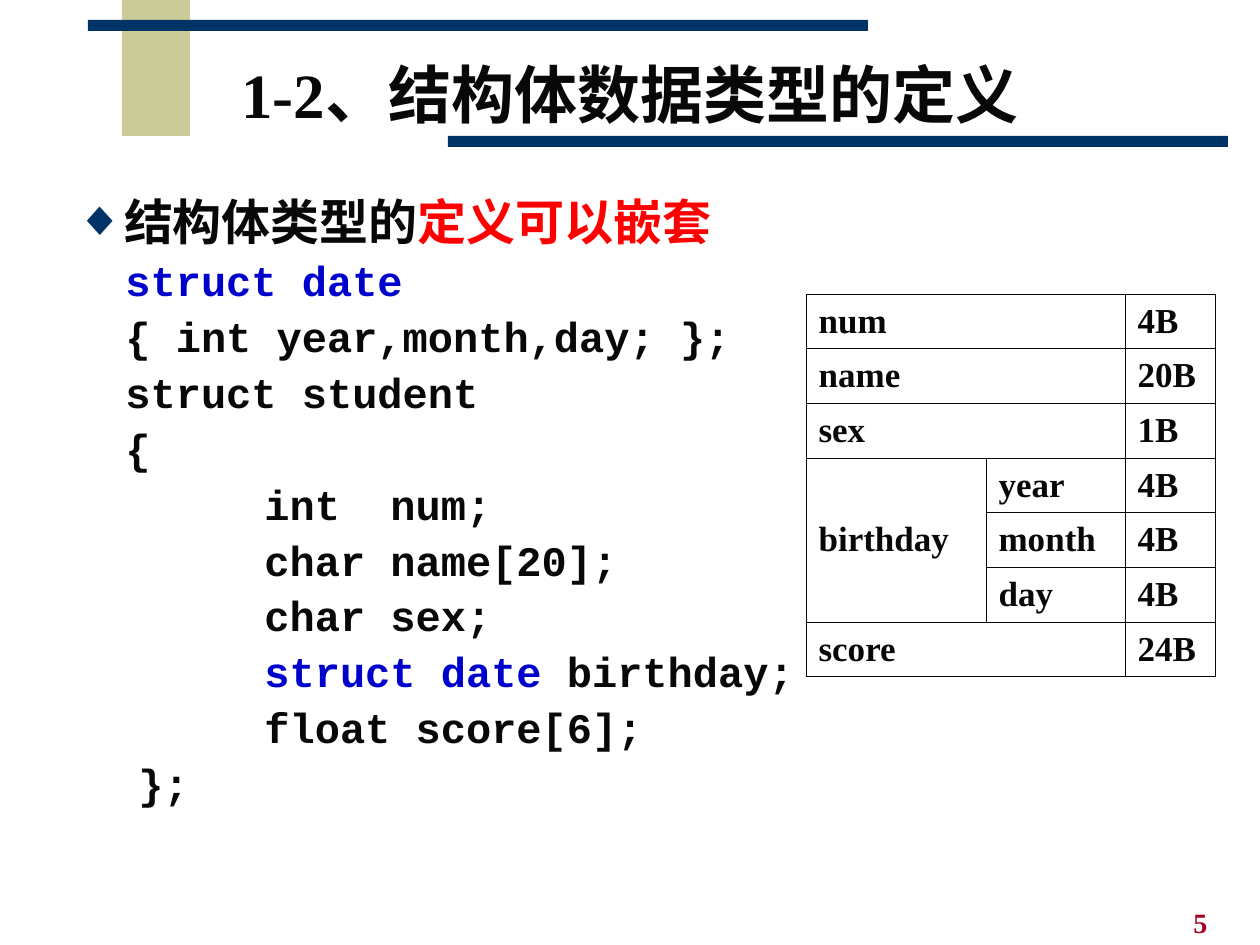
from lxml.etree import SubElement
from pptx import Presentation
from pptx.dml.color import RGBColor
from pptx.enum.shapes import MSO_SHAPE
from pptx.enum.text import MSO_ANCHOR, PP_ALIGN
from pptx.oxml import parse_xml
from pptx.oxml.ns import nsdecls, qn
from pptx.util import Pt

SCALE = 914400 / 126  # EMU per px
COLORS = {
    "ink": "080808",
    "navy": "003366",
    "khaki": "CCCC99",
    "red": "FF0000",
    "blue": "0000CC",
    "crimson": "A50021",
    "white": "FFFFFF",
}
SERIF = "Times New Roman"
MONO = "Courier New"

# Each line of code: left indent in px, then (text, color) spans
CODE = [
    (50, [("struct date", "blue")]),
    (50, [("{ int year,month,day; };", "ink")]),
    (50, [("struct student", "ink")]),
    (50, [("{", "ink")]),
    (189, [("int  num;", "ink")]),
    (189, [("char name[20];", "ink")]),
    (189, [("char sex;", "ink")]),
    (189, [("struct date", "blue"), (" birthday;", "ink")]),
    (189, [("float score[6];", "ink")]),
    (63, [("};", "ink")]),
]

# Member, nested member, size
MEMBERS = [
    ("num", "", "4B"),
    ("name", "", "20B"),
    ("sex", "", "1B"),
    ("birthday", "year", "4B"),
    ("", "month", "4B"),
    ("", "day", "4B"),
    ("score", "", "24B"),
]
BIRTHDAY_ROWS = (3, 5)


def px(length):
    return round(length * SCALE)


def color(name):
    return RGBColor.from_string(COLORS[name])


def add_bar(slide, left, top, width, height, fill):
    bar = slide.shapes.add_shape(
        MSO_SHAPE.RECTANGLE, px(left), px(top), px(width), px(height))
    bar.shadow.inherit = False
    bar.fill.solid()
    bar.fill.fore_color.rgb = color(fill)
    bar.line.fill.background()


def add_box(slide, left, top, width, height, anchor=MSO_ANCHOR.TOP):
    box = slide.shapes.add_textbox(px(left), px(top), px(width), px(height))
    box.text_frame.word_wrap = True
    box.text_frame.vertical_anchor = anchor
    return box.text_frame


def add_span(para, text, size=20, font=SERIF, ink="ink"):
    span = para.add_run()
    span.text = text
    span.font.size = Pt(size)
    span.font.name = font
    span.font.bold = True
    span.font.color.rgb = color(ink)


def set_indent(para, margin, first=0):
    properties = para._p.get_or_add_pPr()
    properties.set("marL", str(px(margin)))
    properties.set("indent", str(px(first)))
    return properties


def add_bullet(para, mark, ink):
    properties = set_indent(para, 47, -47)
    bullet_color = SubElement(properties, qn("a:buClr"))
    SubElement(bullet_color, qn("a:srgbClr"), val=COLORS[ink])
    SubElement(properties, qn("a:buFont"), typeface=SERIF)
    SubElement(properties, qn("a:buChar"), char=mark)


def add_body(slide):
    frame = add_box(slide, 63, 185, 1153, 672)
    heading = frame.paragraphs[0]
    add_bullet(heading, "◆", "navy")
    add_span(heading, "结构体类型的", size=28)
    add_span(heading, "定义可以嵌套", size=28, ink="red")
    for margin, spans in CODE:
        para = frame.add_paragraph()
        set_indent(para, margin)
        para.line_spacing = 0.9
        para.space_before = Pt(6)
        for text, ink in spans:
            add_span(para, text, size=24, font=MONO, ink=ink)


def set_borders(cell, ink, width):
    properties = cell._tc.get_or_add_tcPr()
    for position, side in enumerate(("lnL", "lnR", "lnT", "lnB")):
        properties.insert(position, parse_xml(
            f'<a:{side} {nsdecls("a")} w="{Pt(width)}"><a:solidFill>'
            f'<a:srgbClr val="{COLORS[ink]}"/></a:solidFill></a:{side}>'))


def add_member_table(slide):
    widths = (180, 139, 90)
    height = 383
    table = slide.shapes.add_table(
        len(MEMBERS), len(widths), px(806), px(294),
        px(sum(widths)), px(height)).table
    table.first_row = table.horz_banding = False
    for column, width in zip(table.columns, widths):
        column.width = px(width)
    for row in table.rows:
        row.height = px(height / len(MEMBERS))

    for row_index, texts in enumerate(MEMBERS):
        for column_index, text in enumerate(texts):
            cell = table.cell(row_index, column_index)
            cell.fill.solid()
            cell.fill.fore_color.rgb = color("white")
            cell.vertical_anchor = MSO_ANCHOR.MIDDLE
            set_borders(cell, "ink", 0.45)
            if text:
                add_span(cell.text_frame.paragraphs[0], text)
        if texts[0] and not texts[1]:
            table.cell(row_index, 0).merge(table.cell(row_index, 1))
    first, last = BIRTHDAY_ROWS
    table.cell(first, 0).merge(table.cell(last, 0))


def main():
    deck = Presentation()
    deck.slide_width, deck.slide_height = px(1260), px(945)
    slide = deck.slides.add_slide(deck.slide_layouts[6])

    # Decorative bars
    add_bar(slide, 122, 0, 68, 136, "khaki")
    add_bar(slide, 88, 20, 780, 11, "navy")
    add_bar(slide, 448, 136, 780, 11, "navy")

    # Slide number
    number = add_box(slide, 1181, 899, 79, 46)
    add_span(number.paragraphs[0], "5", size=16, ink="crimson")

    # Code and heading
    add_body(slide)

    # Title
    title = add_box(slide, 0, 36, 1260, 126, MSO_ANCHOR.MIDDLE).paragraphs[0]
    title.alignment = PP_ALIGN.CENTER
    title.line_spacing = 0.85
    add_span(title, "1-2、结构体数据类型的定义", size=36)

    # Memory layout of the structure
    add_member_table(slide)

    deck.save("out.pptx")


if __name__ == "__main__":
    main()
